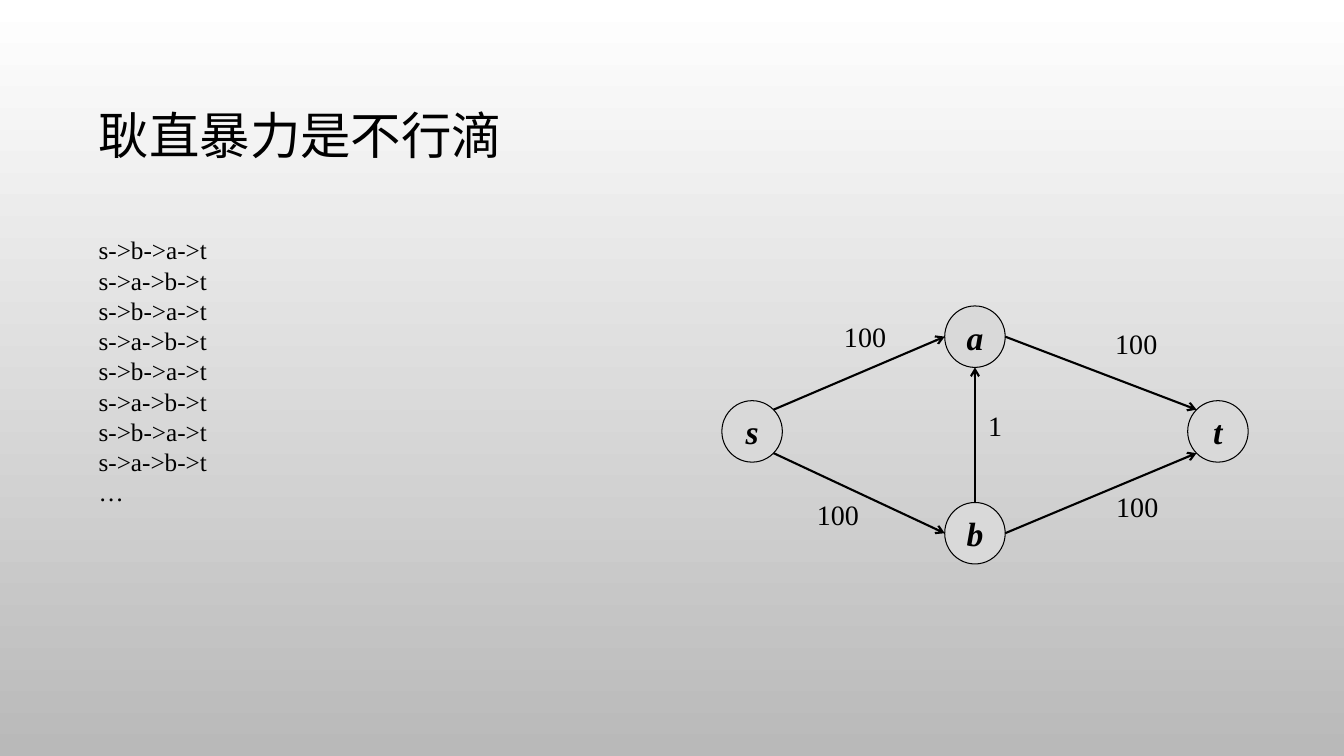
from lxml import etree
from pptx import Presentation
from pptx.dml.color import RGBColor
from pptx.enum.shapes import MSO_CONNECTOR, MSO_SHAPE
from pptx.enum.text import MSO_ANCHOR, PP_ALIGN
from pptx.oxml.ns import qn
from pptx.util import Inches, Pt

LEFT, CENTER = PP_ALIGN.LEFT, PP_ALIGN.CENTER
TOP, MIDDLE = MSO_ANCHOR.TOP, MSO_ANCHOR.MIDDLE
STRAIGHT, OVAL = MSO_CONNECTOR.STRAIGHT, MSO_SHAPE.OVAL
SERIF, SANS = "Times New Roman", "Calibri"
BLACK, NODE_FILL = "000000", "D9D9D9"
GRADIENT = ["FFFFFF", "B9B9B9"]

# Content
TITLE = "耿直暴力是不行滴"
PATHS = ["s->b->a->t", "s->a->b->t"] * 4 + ["…"]
NODE_WIDTH, NODE_HEIGHT = 0.6, 0.61
NODES = {"s": (7.46, 4.28), "a": (9.67, 3.34), "b": (9.67, 5.29), "t": (12.08, 4.28)}
# Unit directions from a node's centre to its rim
DIAGONAL = 0.5 ** 0.5
RIM = {
    "top": (0, -1), "bottom": (0, 1), "left": (-1, 0), "right": (1, 0),
    "upper left": (-DIAGONAL, -DIAGONAL), "upper right": (DIAGONAL, -DIAGONAL),
    "lower left": (-DIAGONAL, DIAGONAL), "lower right": (DIAGONAL, DIAGONAL),
}
# Start node and side, end node and side, capacity, centre of its label
EDGES = [
    ("s", "upper right", "a", "left", "100", (8.58, 3.34)),
    ("a", "right", "t", "upper left", "100", (11.27, 3.41)),
    ("s", "lower right", "b", "left", "100", (8.31, 5.1)),
    ("b", "right", "t", "lower left", "100", (11.28, 5.02)),
    ("b", "top", "a", "bottom", "1", (9.87, 4.22)),
]
LABEL_WIDTH, LABEL_HEIGHT = 1.27, 0.75


def color(value):
    return RGBColor.from_string(value)


def write(box, lines, size, font=SERIF, bold=False, italic=False,
          align=LEFT, anchor=TOP, wrap=True, spacing=None, margin=None):
    frame = box.text_frame
    frame.word_wrap = wrap
    frame.vertical_anchor = anchor
    if margin is not None:
        frame.margin_left = frame.margin_right = Inches(margin)
        frame.margin_top = frame.margin_bottom = Inches(margin)
    for index, line in enumerate(lines):
        para = frame.add_paragraph() if index else frame.paragraphs[0]
        para.alignment = align
        if spacing:
            para.line_spacing = spacing
        span = para.add_run()
        span.text = line
        span.font.name = font
        span.font.size = Pt(size)
        span.font.bold = bold
        span.font.italic = italic
        span.font.color.rgb = color(BLACK)


def frame_around(center, width, height):
    x, y = center
    return [Inches(value) for value in (x - width / 2, y - height / 2, width, height)]


def rim_point(name, side):
    x, y = NODES[name]
    across, down = RIM[side]
    return Inches(x + across * NODE_WIDTH / 2), Inches(y + down * NODE_HEIGHT / 2)


def add_arrow(shapes, start, end):
    arrow = shapes.add_connector(STRAIGHT, *start, *end)
    arrow.line.color.rgb = color(BLACK)
    arrow.line.width = Pt(1.5)
    outline = arrow.line._get_or_add_ln()
    etree.SubElement(outline, qn("a:tailEnd"), type="arrow")
    etree.SubElement(arrow._element.spPr, qn("a:effectLst"))


deck = Presentation()
deck.slide_width, deck.slide_height = Inches(13.33), Inches(7.5)
page = deck.slides.add_slide(deck.slide_layouts[5])

# Background, light at the top
backdrop = page.background.fill
backdrop.gradient()
backdrop.gradient_angle = 270
for position, (stop, shade) in enumerate(zip(backdrop.gradient_stops, GRADIENT)):
    stop.position = position
    stop.color.rgb = color(shade)

# Title
title = page.shapes.title
title.left, title.top = Inches(0.88), Inches(0.5)
title.width, title.height = Inches(11.33), Inches(1.75)
write(title, [TITLE], 36, font=SANS, anchor=MIDDLE, spacing=0.9)

# Flow network: capacities, nodes, arrows
network = page.shapes.add_group_shape().shapes
for *_, capacity, center in EDGES:
    label = network.add_textbox(*frame_around(center, LABEL_WIDTH, LABEL_HEIGHT))
    write(label, [capacity], 20, align=CENTER, anchor=MIDDLE)

for name, center in NODES.items():
    node = network.add_shape(OVAL, *frame_around(center, NODE_WIDTH, NODE_HEIGHT))
    node.shadow.inherit = False
    node.fill.solid()
    node.fill.fore_color.rgb = color(NODE_FILL)
    node.line.color.rgb = color(BLACK)
    node.line.width = Pt(0.75)
    write(node, [name], 24, bold=True, italic=True, align=CENTER,
          anchor=MIDDLE, wrap=False, margin=0)

for source, source_side, target, target_side, *_ in EDGES:
    add_arrow(network, rim_point(source, source_side), rim_point(target, target_side))

# Augmenting paths
path_list = page.shapes.add_textbox(Inches(0.88), Inches(2.28), Inches(5.8), Inches(2.83))
write(path_list, PATHS, 18)

deck.save("out.pptx")
